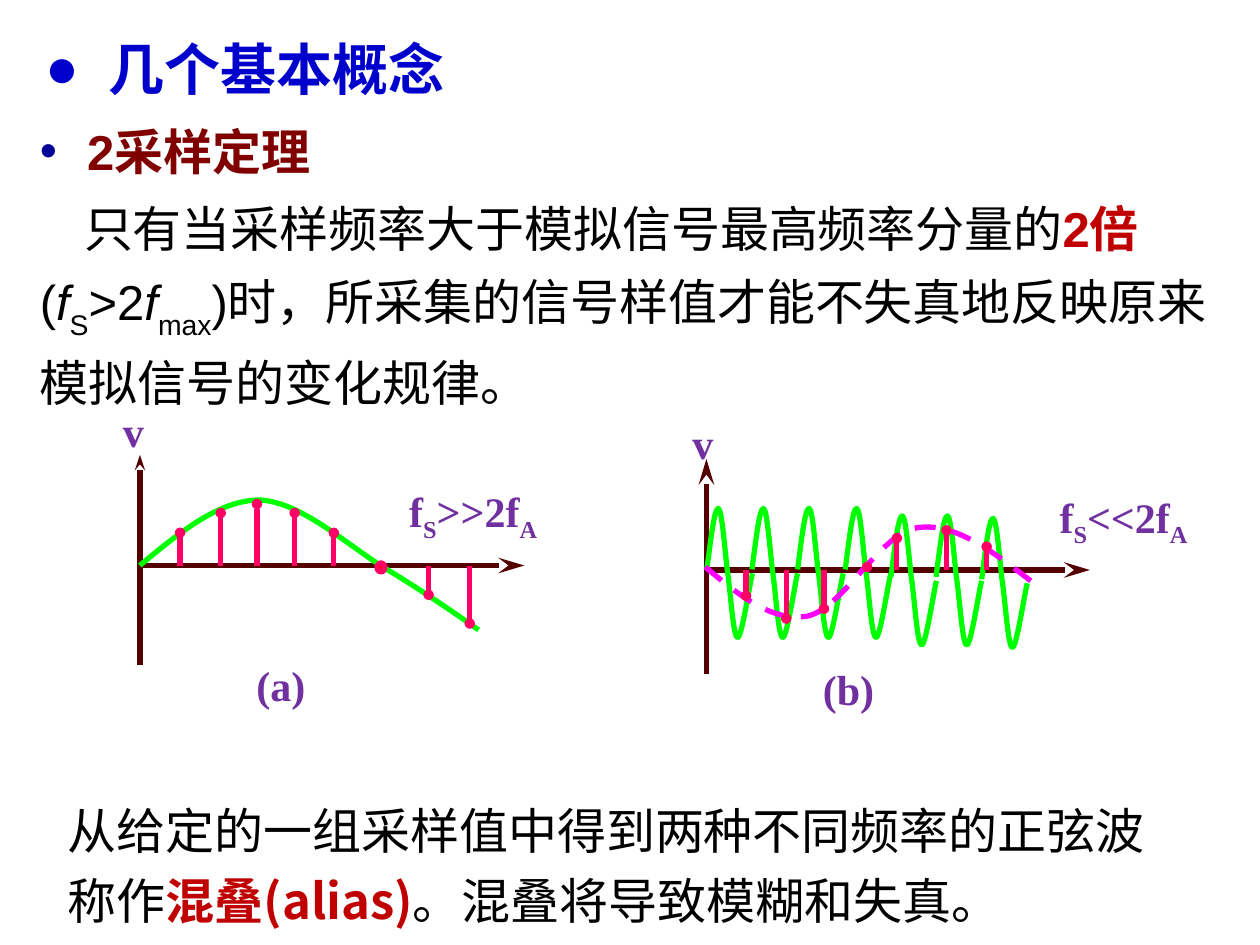
from lxml import etree
from pptx import Presentation
from pptx.dml.color import RGBColor
from pptx.enum.dml import MSO_LINE
from pptx.enum.shapes import MSO_CONNECTOR, MSO_SHAPE
from pptx.enum.text import MSO_ANCHOR, MSO_AUTO_SIZE, PP_ALIGN
from pptx.oxml.ns import qn
from pptx.util import Cm, Pt

STRAIGHT = MSO_CONNECTOR.STRAIGHT
OVAL, RECTANGLE = MSO_SHAPE.OVAL, MSO_SHAPE.RECTANGLE
DASH = MSO_LINE.DASH
TOP = MSO_ANCHOR.TOP
NO_FIT = MSO_AUTO_SIZE.NONE
LEFT = PP_ALIGN.LEFT

CJK_FONT = "Noto Sans CJK SC"
BLACK, WHITE, RED, PURPLE = "000000", "FFFFFF", "C00000", "7030A0"
AXIS, WAVE, SAMPLE, ALIAS = "540000", "00FF00", "FF0066", "FF00FF"
LINE_WIDTH = Pt(3)

# Line ends: type, width, length
DOT = ("oval", "sm", "sm")
NARROW_ARROW = ("stealth", "sm", "med")
LONG_ARROW = ("stealth", "med", "lg")

# Control points in cm: a start, then three points for each Bezier segment
SLOW_WAVE = [(2.82, 11.4), (3.61, 10.74), (4.42, 10.08), (5.23, 10.08),
             (6.07, 10.11), (7.04, 11.02), (7.77, 11.46),
             (8.48, 11.89), (9.07, 12.29), (9.65, 12.7)]
ALIAS_WAVE = [(14.22, 11.43), (14.88, 11.99), (15.57, 12.55), (16.28, 12.42),
              (16.99, 12.27), (17.75, 10.74), (18.49, 10.64),
              (19.25, 10.52), (20.02, 11.13), (20.78, 11.71)]
# One period of the fast wave, relative to its start
FAST_PERIOD = [(0, 0), (0.08, -0.61), (0.15, -1.23), (0.23, -1.23),
               (0.3, -1.23), (0.36, -0.44), (0.41, 0),
               (0.48, 0.45), (0.53, 1.37), (0.62, 1.37),
               (0.7, 1.4), (0.86, 0.3), (0.92, 0.08)]
PERIOD_STARTS = [(14.25, 11.48), (15.16, 11.48), (16.08, 11.48), (17.04, 11.48),
                 (17.96, 11.63), (18.87, 11.63), (19.79, 11.68)]
SLOW_SAMPLES = [(5.18, 10.16), (4.45, 10.34), (3.63, 10.74), (5.94, 10.34),
                (6.73, 10.74), (8.64, 11.99), (9.47, 12.57)]
FAST_SAMPLES = [(16.61, 12.27), (15.85, 12.47), (15.04, 12.01), (17.48, 11.43),
                (18.08, 10.85), (19.89, 11.02), (19.08, 10.69)]


def rgb(value):
    return RGBColor.from_string(value)


def style_font(font, size=None, name=None, color=None, bold=None):
    if size:
        font.size = Pt(size)
    if name:
        font.name = name
        etree.SubElement(font._element, qn("a:ea"), typeface=CJK_FONT)
    if color:
        font.color.rgb = rgb(color)
    if bold is not None:
        font.bold = bold


def add_span(para, text, color=None, bold=None, italic=None, baseline=None):
    span = para.add_run()
    span.text = text
    style_font(span.font, color=color, bold=bold)
    if italic:
        span.font.italic = True
    if baseline:
        span.font._element.set("baseline", str(baseline * 1000))


def set_indent(para, margin, first, bullet=None, color=None):
    """Set the indents in cm, and a bullet character or none."""
    props = para._p.get_or_add_pPr()
    props.set("marL", str(Cm(margin)))
    props.set("indent", str(Cm(first)))
    if color:
        bullet_color = etree.SubElement(props, qn("a:buClr"))
        etree.SubElement(bullet_color, qn("a:srgbClr"), val=color)
    if bullet:
        etree.SubElement(props, qn("a:buFont"), typeface="Arial")
        etree.SubElement(props, qn("a:buChar"), char=bullet)
    else:
        etree.SubElement(props, qn("a:buNone"))


def set_spacing(para, before, after):
    para.alignment = LEFT
    para.line_spacing = 1.2
    para.space_before = Pt(before)
    para.space_after = Pt(after)


def set_fill(shape, color):
    shape.fill.solid()
    shape.fill.fore_color.rgb = rgb(color)


def set_line(shape, color):
    shape.line.color.rgb = rgb(color)
    shape.line.width = LINE_WIDTH


def place_text(box, left, top, width, height):
    box.left, box.top, box.width, box.height = map(Cm, (left, top, width, height))
    frame = box.text_frame
    frame.auto_size = NO_FIT
    frame.word_wrap = True
    frame.vertical_anchor = TOP
    return frame


def add_text_box(page, left, top, width, height):
    box = page.shapes.add_textbox(0, 0, 0, 0)
    return place_text(box, left, top, width, height).paragraphs[0]


def add_label(page, left, top, width, *parts):
    """Add a figure label whose every second part is a subscript."""
    para = add_text_box(page, left, top, width, 1.45)
    style_font(para.font, 24, "Times New Roman", PURPLE, True)
    for index, text in enumerate(parts):
        add_span(para, text, baseline=-25 if index % 2 else None)


def add_shape(page, kind, left, top, width, height, color):
    shape = page.shapes.add_shape(kind, *map(Cm, (left, top, width, height)))
    shape.shadow.inherit = False
    set_fill(shape, color)
    shape.line.fill.background()
    return shape


def add_line(page, start, end, color, head=None, tail=None):
    line = page.shapes.add_connector(STRAIGHT, *map(Cm, start + end))
    set_line(line, color)
    outline = line.line._get_or_add_ln()
    for tag, style in (("a:headEnd", head), ("a:tailEnd", tail)):
        if style:
            kind, width, length = style
            etree.SubElement(outline, qn(tag), type=kind, w=width, len=length)
    etree.SubElement(line._element.spPr, qn("a:effectLst"))


def add_axes(page, x, y, top, bottom, right, up_arrow):
    add_line(page, (x, top), (x, bottom), AXIS, head=up_arrow)
    add_line(page, (x, y), (right, y), AXIS, tail=LONG_ARROW)


def add_samples(page, samples, axis_y):
    for x, y in samples:
        add_line(page, (x, y), (x, axis_y), SAMPLE, head=DOT)


def add_curve(page, controls, color, dash=None):
    start, *others = [(Cm(x), Cm(y)) for x, y in controls]
    builder = page.shapes.build_freeform(*start)
    builder.add_line_segments(others, close=False)
    curve = builder.convert_to_shape()
    # Join each three line segments into one Bezier segment
    segments = list(curve._element.iter(qn("a:lnTo")))
    for first in range(0, len(segments), 3):
        bezier = etree.Element(qn("a:cubicBezTo"))
        segments[first].addprevious(bezier)
        for segment in segments[first:first + 3]:
            bezier.append(segment[0])
            segment.getparent().remove(segment)
    curve.shadow.inherit = False
    curve.fill.background()
    set_line(curve, color)
    if dash:
        curve.line.dash_style = dash


def add_heading(page):
    title = page.shapes.title
    frame = place_text(title, 0.66, 0.3, 22.86, 5.66)
    set_fill(title, WHITE)
    para = frame.paragraphs[0]
    set_indent(para, 1.27, -1.27, "●")
    set_spacing(para, 6, 3)
    style_font(para.font, 32, "Arial", "0000CC", True)
    add_span(para, "几个基本概念")


def add_theorem(page):
    frame = place_text(page.placeholders[1], 0.55, 2.08, 24.1, 5.51)
    para = frame.paragraphs[0]
    set_indent(para, 0.95, -0.95, "•", "000099")
    set_spacing(para, 3, 1)
    style_font(para.font, 28, "Arial", "800000", True)
    add_span(para, "2采样定理")

    para = frame.add_paragraph()
    set_indent(para, 0, 0.89)
    set_spacing(para, 3, 1)
    style_font(para.font, 28, "Arial", BLACK)
    add_span(para, "只有当采样频率大于模拟信号最高频率分量的")
    add_span(para, "2倍 ", RED, True)
    add_span(para, "(")
    add_span(para, "f", italic=True)
    add_span(para, "S", baseline=-30)
    add_span(para, ">2")
    add_span(para, "f", italic=True)
    add_span(para, "max", baseline=-30)
    add_span(para, ")时，所采集的信号样值才能不失真地反映原来模拟信号的变化规律。")


def add_slow_figure(page):
    add_axes(page, 2.82, 11.4, 9.17, 13.41, 10.57, NARROW_ARROW)
    add_curve(page, SLOW_WAVE, WAVE)
    add_label(page, 4.92, 13.17, 1.83, "(a)")
    add_label(page, 2.23, 8.05, 1.83, "v")
    add_label(page, 8, 9.67, 3.18, "f", "S", ">>2f", "A")
    add_samples(page, SLOW_SAMPLES, 11.4)
    # Sample at the zero crossing
    dot = add_shape(page, OVAL, 7.6, 11.35, 0.16, 0.18, "FF0000")
    set_line(dot, SAMPLE)


def add_fast_figure(page):
    add_label(page, 21.11, 9.78, 3.38, "f", "S", "<<2f", "A")
    add_label(page, 16.34, 13.26, 1.83, "(b)")
    add_axes(page, 14.24, 11.49, 9.25, 13.59, 21.97, LONG_ARROW)
    add_label(page, 13.71, 8.3, 1.83, "v")
    for x, y in PERIOD_STARTS:
        add_curve(page, [(x + dx, y + dy) for dx, dy in FAST_PERIOD], WAVE)
    add_curve(page, ALIAS_WAVE, ALIAS, DASH)
    add_samples(page, FAST_SAMPLES, 11.49)


def add_conclusion(page):
    para = add_text_box(page, 1.12, 15.77, 22.73, 2.79)
    set_spacing(para, 0, 0)
    style_font(para.font, 28, CJK_FONT, BLACK)
    add_span(para, "从给定的一组采样值中得到两种不同频率的正弦波称作")
    add_span(para, "混叠(alias)", RED, True)
    add_span(para, "。混叠将导致模糊和失真。")


def main():
    deck = Presentation()
    deck.slide_width, deck.slide_height = Cm(25.4), Cm(19.05)
    page = deck.slides.add_slide(deck.slide_layouts[1])
    # White band behind the heading
    band = add_shape(page, RECTANGLE, 0.03, 0, 25.17, 2.82, WHITE)
    page.shapes.title._element.addprevious(band._element)
    add_heading(page)
    add_theorem(page)
    add_slow_figure(page)
    add_fast_figure(page)
    add_conclusion(page)
    deck.save("out.pptx")


if __name__ == "__main__":
    main()
